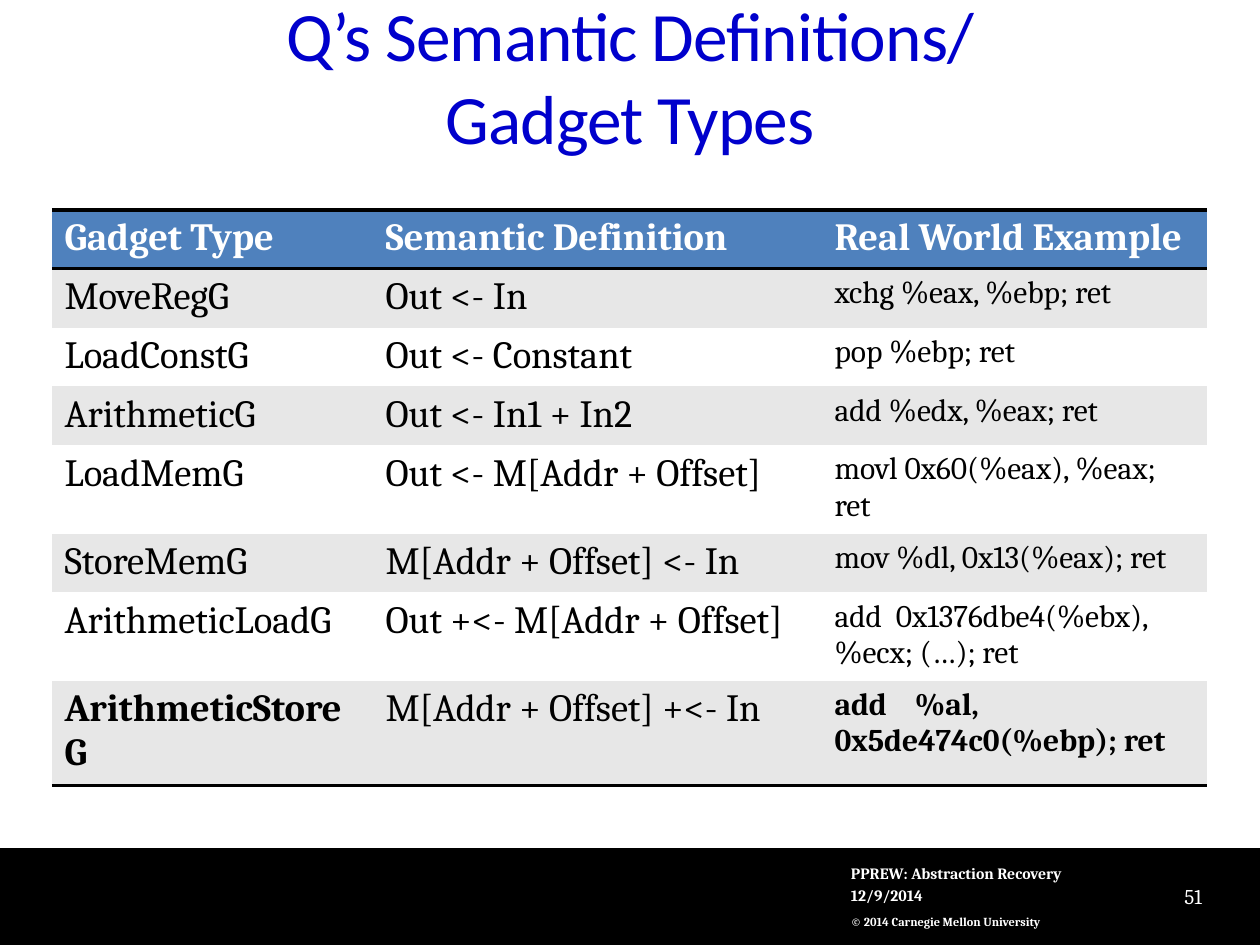
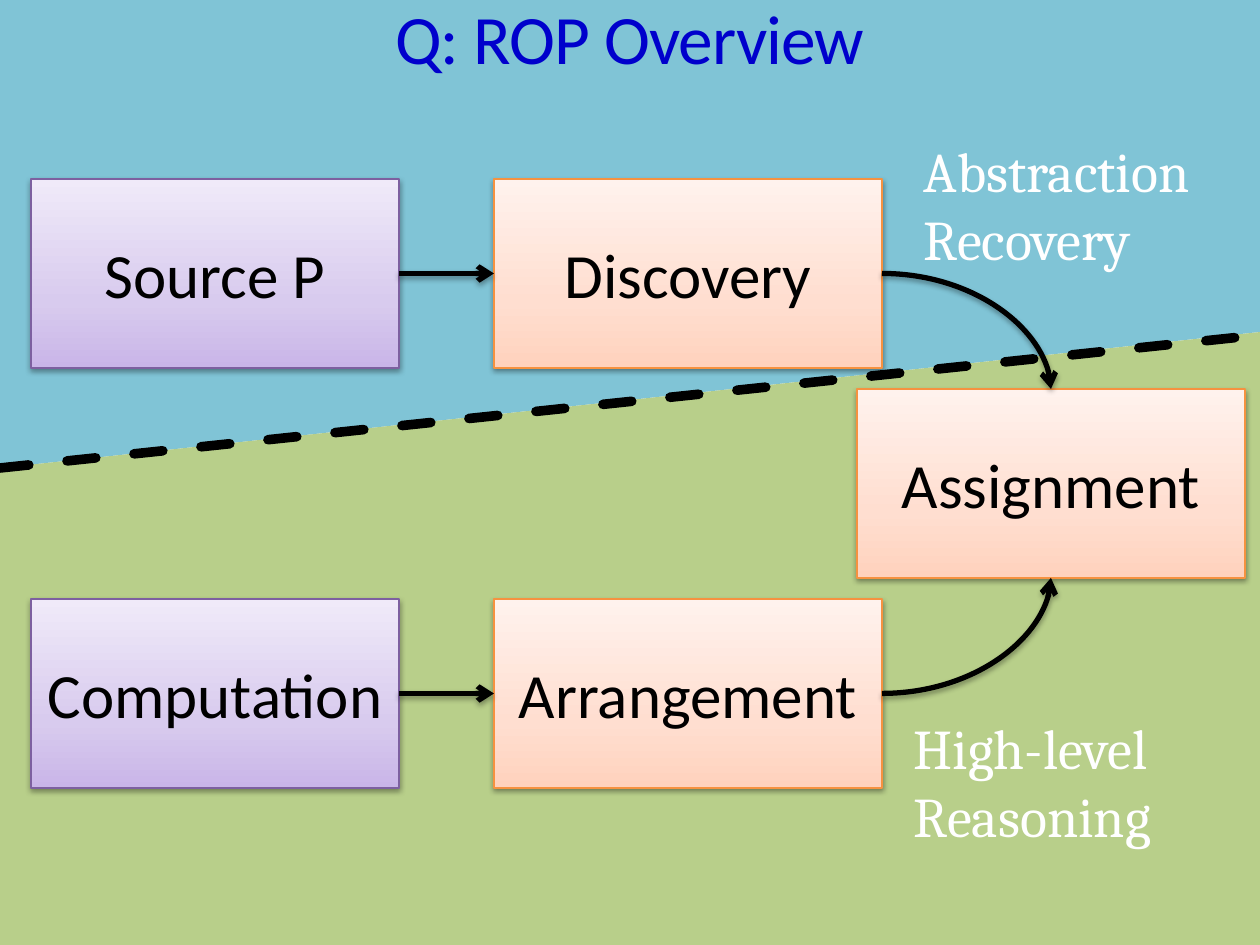
from copy import deepcopy
from dataclasses import dataclass

from lxml import etree
from pptx import Presentation
from pptx.dml.color import RGBColor
from pptx.enum.dml import MSO_LINE
from pptx.enum.shapes import MSO_CONNECTOR, MSO_SHAPE
from pptx.enum.text import MSO_ANCHOR, PP_ALIGN
from pptx.oxml.ns import qn
from pptx.util import Emu, Pt

RECTANGLE = MSO_SHAPE.RECTANGLE
STRAIGHT, CURVE = MSO_CONNECTOR.STRAIGHT, MSO_CONNECTOR.CURVE
LEFT, CENTER, RIGHT = PP_ALIGN.LEFT, PP_ALIGN.CENTER, PP_ALIGN.RIGHT
TOP, MIDDLE, BOTTOM = MSO_ANCHOR.TOP, MSO_ANCHOR.MIDDLE, MSO_ANCHOR.BOTTOM
DASH = MSO_LINE.DASH
SIDE_TOP, SIDE_LEFT, SIDE_BOTTOM, SIDE_RIGHT = range(4)

EMU_PER_PX = 914400 / 126
SLIDE_W, SLIDE_H = 1260, 945
SANS, SERIF = "Calibri", "Cambria"
NO_TABLE_STYLE = "{2D5ABB26-0587-4C30-8999-92F81FD0307C}"

COLORS = {
    "title": "0000CC", "black": "000000", "white": "FFFFFF",
    "header": "4F81BD", "stripe": "E7E7E7",
    "recovery": "4BACC6", "reasoning": "9BBB59",
    "input_line": "7D60A0", "stage_line": "F69240",
}
GRADIENTS = {
    "input": ("C9B5E8", "D8CBEE", "F0EAF9"),
    "stage": ("FFD2BD", "FFDED0", "FFF2ED"),
}
GRADIENT_POSITIONS = (0, 0.35, 1)


@dataclass(frozen=True)
class Label:
    text: str
    x: int
    y: int
    w: int
    h: int
    size: float
    font: str = SERIF
    color: str = "white"
    bold: bool = False
    align: PP_ALIGN = LEFT
    anchor: MSO_ANCHOR = TOP
    inset_x: int = 0
    inset_y: int = 6
    line_spacing: float = 1.0
    tracking: int = 0  # hundredths of a point


@dataclass(frozen=True)
class Step:
    text: str
    kind: str
    x: int
    y: int
    w: int


@dataclass(frozen=True)
class Flow:
    source: str
    target: str
    target_side: int
    curved: bool = False


def px(length: int) -> Emu:
    return Emu(round(length * EMU_PER_PX))


def rgb(name: str) -> RGBColor:
    return RGBColor.from_string(COLORS[name])


def style_runs(frame, size: float, font: str, color: str, bold: bool = False) -> None:
    for paragraph in frame.paragraphs:
        for run in paragraph.runs:
            run.font.size = Pt(size)
            run.font.name = font
            run.font.bold = bold
            run.font.color.rgb = rgb(color)


def add_label(slide, label: Label) -> None:
    box = slide.shapes.add_textbox(px(label.x), px(label.y), px(label.w), px(label.h))
    frame = box.text_frame
    frame.word_wrap = True
    frame.vertical_anchor = label.anchor
    frame.margin_left = frame.margin_right = px(label.inset_x)
    frame.margin_top = frame.margin_bottom = px(label.inset_y)
    frame.text = label.text
    style_runs(frame, label.size, label.font, label.color, label.bold)
    for paragraph in frame.paragraphs:
        paragraph.alignment = label.align
        paragraph.line_spacing = label.line_spacing
        if label.tracking:
            for run in paragraph.runs:
                run.font._element.set("spc", str(label.tracking))


def add_title(slide, text: str, y: int, h: int) -> None:
    add_label(slide, Label(text, 63, y, 1134, h, 39.6, SANS, "title",
                           align=CENTER, anchor=MIDDLE, tracking=-50))


def add_footer(slide, page: str) -> None:
    band = slide.shapes.add_shape(RECTANGLE, 0, px(848), px(SLIDE_W), px(SLIDE_H - 848))
    band.shadow.inherit = False
    band.fill.solid()
    band.fill.fore_color.rgb = rgb("black")
    band.line.fill.background()
    for label in (
        Label("© 2014 Carnegie Mellon University", 851, 901, 315, 33, 7,
              bold=True, anchor=MIDDLE, line_spacing=1.5),
        Label("12/9/2014", 851, 879, 388, 32, 9, bold=True, anchor=BOTTOM),
        Label("PPREW: Abstraction Recovery", 851, 857, 247, 32, 9,
              bold=True, anchor=BOTTOM),
        Label(page, 1144, 871, 71, 50, 12, align=RIGHT, anchor=MIDDLE, inset_x=13),
    ):
        add_label(slide, label)


# Gadget table
GADGETS = (
    ("Gadget Type", "Semantic Definition", "Real World Example"),
    ("MoveRegG", "Out <- In", "xchg %eax, %ebp; ret"),
    ("LoadConstG", "Out <- Constant", "pop %ebp; ret"),
    ("ArithmeticG", "Out <- In1 + In2", "add %edx, %eax; ret"),
    ("LoadMemG", "Out <- M[Addr + Offset]", "movl 0x60(%eax), %eax; ret"),
    ("StoreMemG", "M[Addr + Offset] <- In", "mov %dl, 0x13(%eax); ret"),
    ("ArithmeticLoadG", "Out +<- M[Addr + Offset]",
     "add  0x1376dbe4(%ebx), %ecx; (…); ret"),
    ("ArithmeticStoreG", "M[Addr + Offset] +<- In",
     "add    %al, 0x5de474c0(%ebp); ret"),
)
GADGET_COLUMNS = (321, 449, 385)
GADGET_ROW_H = 52
EXAMPLE_COLUMN = 2


def add_border(cell, side: str) -> None:
    border = etree.Element(qn(f"a:{side}"), w=str(Pt(2)))
    fill = etree.SubElement(border, qn("a:solidFill"))
    etree.SubElement(fill, qn("a:srgbClr"), val=COLORS["black"])
    cell._tc.get_or_add_tcPr().insert(0, border)


def add_gadget_table(slide) -> None:
    last = len(GADGETS) - 1
    frame = slide.shapes.add_table(
        len(GADGETS), len(GADGET_COLUMNS), px(52), px(210),
        px(sum(GADGET_COLUMNS)), px(GADGET_ROW_H * len(GADGETS)))
    table = frame.table
    table._tbl.tblPr.find(qn("a:tableStyleId")).text = NO_TABLE_STYLE
    table.horz_banding = False
    for column, width in zip(table.columns, GADGET_COLUMNS):
        column.width = px(width)
    for r, row in enumerate(GADGETS):
        table.rows[r].height = px(GADGET_ROW_H)
        fill = "header" if r == 0 else "stripe" if r % 2 else "white"
        for c, text in enumerate(row):
            cell = table.cell(r, c)
            cell.text_frame.text = text
            style_runs(cell.text_frame,
                       18 if r and c == EXAMPLE_COLUMN else 22, SERIF,
                       "black" if r else "white",
                       bold=r == 0 or (r == last and c != 1))
            cell.fill.solid()
            cell.fill.fore_color.rgb = rgb(fill)
            if r in (0, last):
                add_border(cell, "lnB")
            if r == 0:
                add_border(cell, "lnT")


# Overview diagram
STEP_H = 189
INPUT_X, STAGE_X, ASSIGN_X = 31, 494, 857
INPUT_W, STAGE_W = 368, 388
UPPER_Y, LOWER_Y = 179, 599
STEPS = (
    Step("Source P", "input", INPUT_X, UPPER_Y, INPUT_W),
    Step("Computation", "input", INPUT_X, LOWER_Y, INPUT_W),
    Step("Arrangement", "stage", STAGE_X, LOWER_Y, STAGE_W),
    Step("Discovery", "stage", STAGE_X, UPPER_Y, STAGE_W),
    Step("Assignment", "stage", ASSIGN_X, (UPPER_Y + LOWER_Y) // 2, STAGE_W),
)
FLOWS = (
    Flow("Source P", "Discovery", SIDE_LEFT),
    Flow("Computation", "Arrangement", SIDE_LEFT),
    Flow("Discovery", "Assignment", SIDE_TOP, curved=True),
    Flow("Arrangement", "Assignment", SIDE_BOTTOM, curved=True),
)
DIVIDE_LEFT, DIVIDE_RIGHT = (0, 468), (SLIDE_W, 332)


def add_shadow(shape, distance: int, opacity: int) -> None:
    properties = shape._element.spPr
    effects = properties.find(qn("a:effectLst"))
    if effects is None:
        effects = etree.SubElement(properties, qn("a:effectLst"))
    shadow = etree.SubElement(effects, qn("a:outerShdw"), blurRad="40000",
                              dist=str(distance), dir="5400000", rotWithShape="0")
    color = etree.SubElement(shadow, qn("a:srgbClr"), val=COLORS["black"])
    etree.SubElement(color, qn("a:alpha"), val=str(opacity * 1000))


def add_region(slide, color: str, corners: tuple) -> None:
    builder = slide.shapes.build_freeform(*corners[0], scale=EMU_PER_PX)
    builder.add_line_segments(corners[1:], close=True)
    region = builder.convert_to_shape()
    region.shadow.inherit = False
    region.fill.solid()
    region.fill.fore_color.rgb = rgb(color)
    tint = region._element.spPr.find(f"{qn('a:solidFill')}/{qn('a:srgbClr')}")
    etree.SubElement(tint, qn("a:alpha"), val="70000")
    region.line.fill.background()


def add_divide(slide) -> None:
    divide = slide.shapes.add_connector(STRAIGHT, px(0), px(468), px(SLIDE_W), px(335))
    divide.line.color.rgb = rgb("black")
    divide.line.width = Pt(5.5)
    divide.line.dash_style = DASH
    properties = divide._element.spPr
    properties.find(qn("a:ln")).set("cap", "rnd")
    etree.SubElement(properties, qn("a:effectLst"))


def add_step(slide, step: Step):
    box = slide.shapes.add_shape(RECTANGLE, px(step.x), px(step.y), px(step.w), px(STEP_H))
    box.shadow.inherit = False
    box.fill.gradient()
    box.fill.gradient_angle = 90
    stop_list = box._element.spPr.find(f".//{qn('a:gsLst')}")
    stop_list.insert(1, deepcopy(stop_list[0]))
    for stop, color, position in zip(box.fill.gradient_stops, GRADIENTS[step.kind],
                                     GRADIENT_POSITIONS):
        stop.color.rgb = RGBColor.from_string(color)
        stop.position = position
    box.line.color.rgb = rgb(f"{step.kind}_line")
    box.line.width = Pt(0.75)
    add_shadow(box, 20000, 38)
    frame = box.text_frame
    frame.word_wrap = True
    frame.vertical_anchor = MIDDLE
    frame.text = step.text
    frame.paragraphs[0].alignment = CENTER
    style_runs(frame, 36, SANS, "black")
    return box


def add_flow(slide, flow: Flow, boxes: dict) -> None:
    arrow = slide.shapes.add_connector(CURVE if flow.curved else STRAIGHT, 0, 0, 0, 0)
    arrow.begin_connect(boxes[flow.source], SIDE_RIGHT)
    arrow.end_connect(boxes[flow.target], flow.target_side)
    arrow.line.color.rgb = rgb("black")
    arrow.line.width = Pt(3)
    properties = arrow._element.spPr
    if flow.curved:
        properties.find(qn("a:prstGeom")).set("prst", "curvedConnector2")
    etree.SubElement(properties.find(qn("a:ln")), qn("a:tailEnd"), type="arrow")
    add_shadow(arrow, 23000, 35)


def build_gadget_slide(slide) -> None:
    add_footer(slide, "51")
    add_title(slide, "Q’s Semantic Definitions/\vGadget Types", 3, 145)
    add_gadget_table(slide)


def build_overview_slide(slide) -> None:
    add_region(slide, "recovery", ((0, 0), (SLIDE_W, 0), DIVIDE_RIGHT, DIVIDE_LEFT))
    add_region(slide, "reasoning",
               (DIVIDE_LEFT, DIVIDE_RIGHT, (SLIDE_W, SLIDE_H), (0, SLIDE_H)))
    add_divide(slide)
    add_title(slide, "Q: ROP Overview", 0, 73)
    boxes = {step.text: add_step(slide, step) for step in STEPS}
    for flow in FLOWS:
        add_flow(slide, flow, boxes)
    add_label(slide, Label("Abstraction Recovery", 924, 137, 330, 136, 32, inset_y=0))
    add_label(slide, Label("High-level\nReasoning", 914, 714, 330, 136, 32, inset_y=0))


def main() -> None:
    deck = Presentation()
    deck.slide_width, deck.slide_height = px(SLIDE_W), px(SLIDE_H)
    blank = deck.slide_layouts[6]
    for build in (build_gadget_slide, build_overview_slide):
        build(deck.slides.add_slide(blank))
    deck.save("out.pptx")


if __name__ == "__main__":
    main()
